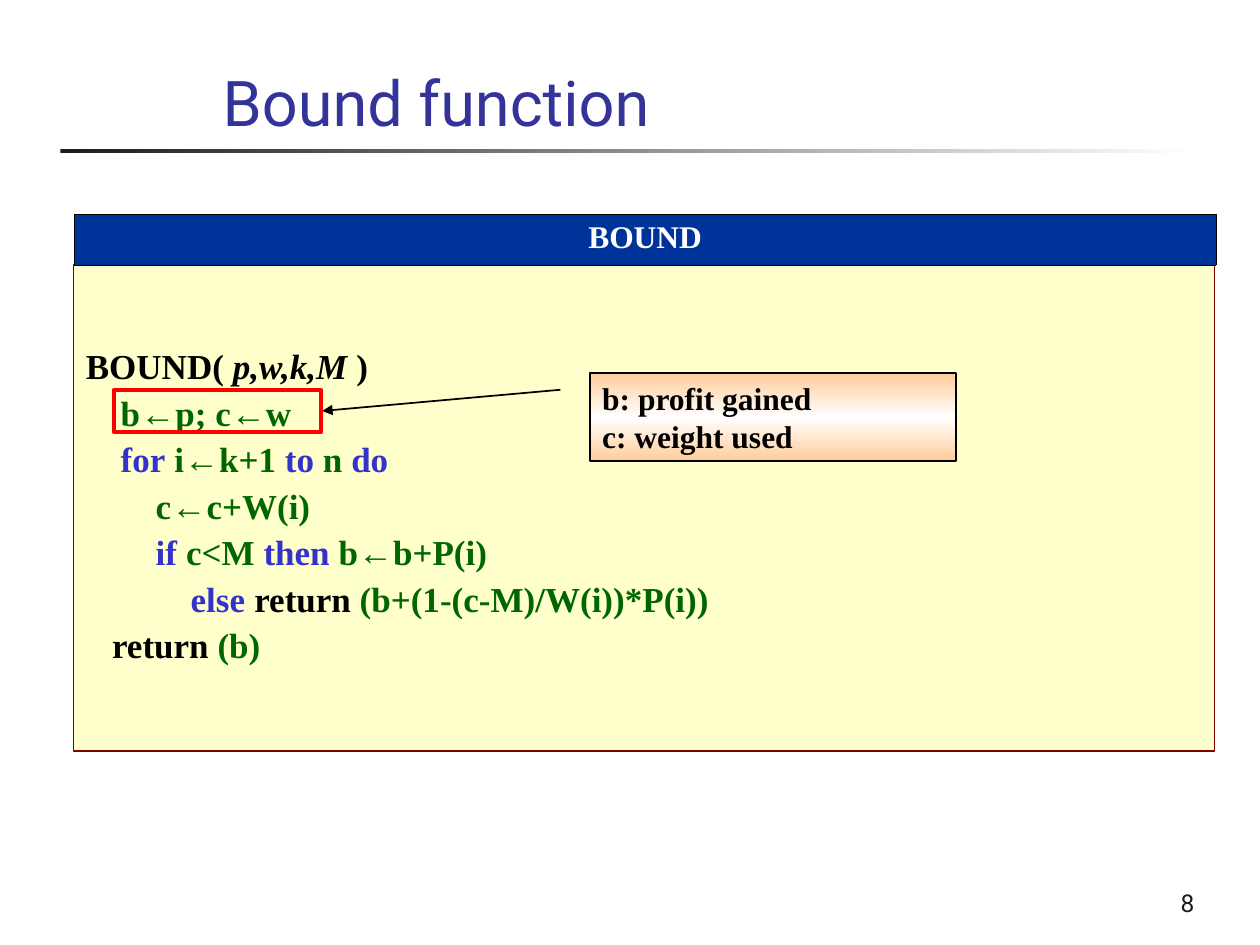
from lxml.etree import SubElement
from pptx import Presentation
from pptx.dml.color import RGBColor
from pptx.enum.shapes import MSO_SHAPE
from pptx.enum.text import MSO_ANCHOR, MSO_AUTO_SIZE, PP_ALIGN
from pptx.oxml.ns import qn
from pptx.util import Cm, Pt

COLORS = {
    "title": "333399", "dark": "1C1C1C", "white": "FFFFFF", "black": "000000",
    "header": "003399", "panel": "FFFFCC", "panel_line": "800000",
    "code": "006600", "keyword": "3333CC", "peach": "FFCC99", "red": "FF0000",
}
SERIF = "Times New Roman"


def set_font(font, name, size, color, bold=None):
    font.name, font.size, font.bold = name, Pt(size), bold
    font.color.rgb = RGBColor.from_string(COLORS[color])


def set_gradient(s, angle, colors):
    s.fill.gradient()
    grad = s._element.spPr.find(qn("a:gradFill"))
    grad.find(qn("a:lin")).set("ang", str(angle * 60000))
    stops = grad.find(qn("a:gsLst"))
    for old in list(stops):
        stops.remove(old)
    for i, color in enumerate(colors):
        gs = SubElement(stops, qn("a:gs"), pos=str(100000 * i // (len(colors) - 1)))
        SubElement(gs, qn("a:srgbClr"), val=COLORS[color])


prs = Presentation()
prs.slide_width, prs.slide_height = Cm(25.4), Cm(19.05)
slide = prs.slides.add_slide(prs.slide_layouts[6])
shapes = slide.shapes

# Fading rule under the title
s = shapes.add_shape(MSO_SHAPE.RECTANGLE, Cm(1.22), Cm(3), Cm(22.86), Cm(0.08))
s.shadow.inherit = False
s.line.fill.background()
set_gradient(s, 0, ["dark", "white"])

# Title and slide number
for text, box, size, color, align in [
    ("Bound function", (4.24, 0.43, 19.96, 2.51), 36, "title", PP_ALIGN.LEFT),
    ("8", (19.05, 17.35, 5.28, 1.27), 14, "dark", PP_ALIGN.RIGHT),
]:
    tf = shapes.add_textbox(*map(Cm, box)).text_frame
    tf.word_wrap = True
    tf.vertical_anchor = MSO_ANCHOR.BOTTOM
    p = tf.paragraphs[0]
    p.text, p.alignment = text, align
    set_font(p.font, "Roboto", size, color)

# Code panel: each line is a list of (text, colour, italic)
code_lines = [
    [("BOUND( ", "black", False), ("p,w,k,M ", "black", True), (")", "black", False)],
    [("    b←p; c←w", "code", False)],
    [("    for", "keyword", False), (" i←k+1 ", "code", False),
     ("to", "keyword", False), (" n ", "code", False), ("do", "keyword", False)],
    [("        c←c+W(i)", "code", False)],
    [("        if", "keyword", False), (" c<M ", "code", False),
     ("then", "keyword", False), (" b←b+P(i)", "code", False)],
    [("            else ", "keyword", False), ("return", "black", False),
     (" (b+(1-(c-M)/W(i))*P(i))", "code", False)],
    [("   return", "black", False), (" (b)", "code", False)],
]
s = shapes.add_shape(MSO_SHAPE.RECTANGLE, Cm(1.48), Cm(5.34), Cm(23.01), Cm(9.8))
s.shadow.inherit = False
s.fill.solid()
s.fill.fore_color.rgb = RGBColor.from_string(COLORS["panel"])
s.line.color.rgb = RGBColor.from_string(COLORS["panel_line"])
s.line.width = Pt(0.75)
tf = s.text_frame
tf.word_wrap = True
tf.vertical_anchor = MSO_ANCHOR.MIDDLE
for i, line in enumerate(code_lines):
    p = tf.add_paragraph() if i else tf.paragraphs[0]
    p.alignment, p.line_spacing = PP_ALIGN.LEFT, 0.9
    if i:
        p.space_before = Pt(5)
    for text, color, italic in line:
        # Arrows are set in Arial, the rest in the serif face
        for part in text.replace("←", "|←|").split("|"):
            r = p.add_run()
            r.text = part
            set_font(r.font, "Arial" if part == "←" else SERIF, 20, color, True)
            r.font.italic = italic

# Header table
frame = shapes.add_table(1, 1, Cm(1.5), Cm(4.32), Cm(23.01), Cm(1.02))
frame.table.first_row = frame.table.horz_banding = False
cell = frame.table.cell(0, 0)
p = cell.text_frame.paragraphs[0]
p.text, p.alignment = "BOUND", PP_ALIGN.CENTER
set_font(p.font, SERIF, 18, "white", True)
tc_pr = cell._tc.get_or_add_tcPr()
for side in ("lnL", "lnR", "lnT", "lnB"):
    ln = SubElement(tc_pr, qn(f"a:{side}"), w=str(Pt(0.45)))
    SubElement(SubElement(ln, qn("a:solidFill")), qn("a:srgbClr"), val=COLORS["black"])
cell.fill.solid()
cell.fill.fore_color.rgb = RGBColor.from_string(COLORS["header"])

# Callout explaining the variables
s = shapes.add_shape(MSO_SHAPE.LINE_CALLOUT_1, Cm(11.89), Cm(7.52), Cm(7.39), Cm(1.78))
s.shadow.inherit = False
for i, value in enumerate([0.19, -0.08, 0.43, -0.73]):
    s.adjustments[i] = value
set_gradient(s, 90, ["peach", "white", "peach"])
s.line.color.rgb = RGBColor.from_string(COLORS["black"])
s.line.width = Pt(1)
SubElement(s.line._get_or_add_ln(), qn("a:tailEnd"), type="triangle")
tf = s.text_frame
tf.word_wrap = True
tf.auto_size = MSO_AUTO_SIZE.SHAPE_TO_FIT_TEXT
tf.vertical_anchor = MSO_ANCHOR.TOP
for i, text in enumerate(["b: profit gained", "c: weight used"]):
    p = tf.add_paragraph() if i else tf.paragraphs[0]
    p.text, p.alignment = text, PP_ALIGN.LEFT
    set_font(p.font, SERIF, 18, "black", True)

# Red frame around the initialisation line
s = shapes.add_shape(MSO_SHAPE.RECTANGLE, Cm(2.29), Cm(7.87), Cm(4.19), Cm(0.84))
s.shadow.inherit = False
s.fill.background()
s.line.color.rgb = RGBColor.from_string(COLORS["red"])
s.line.width = Pt(2.25)

prs.save("out.pptx")
